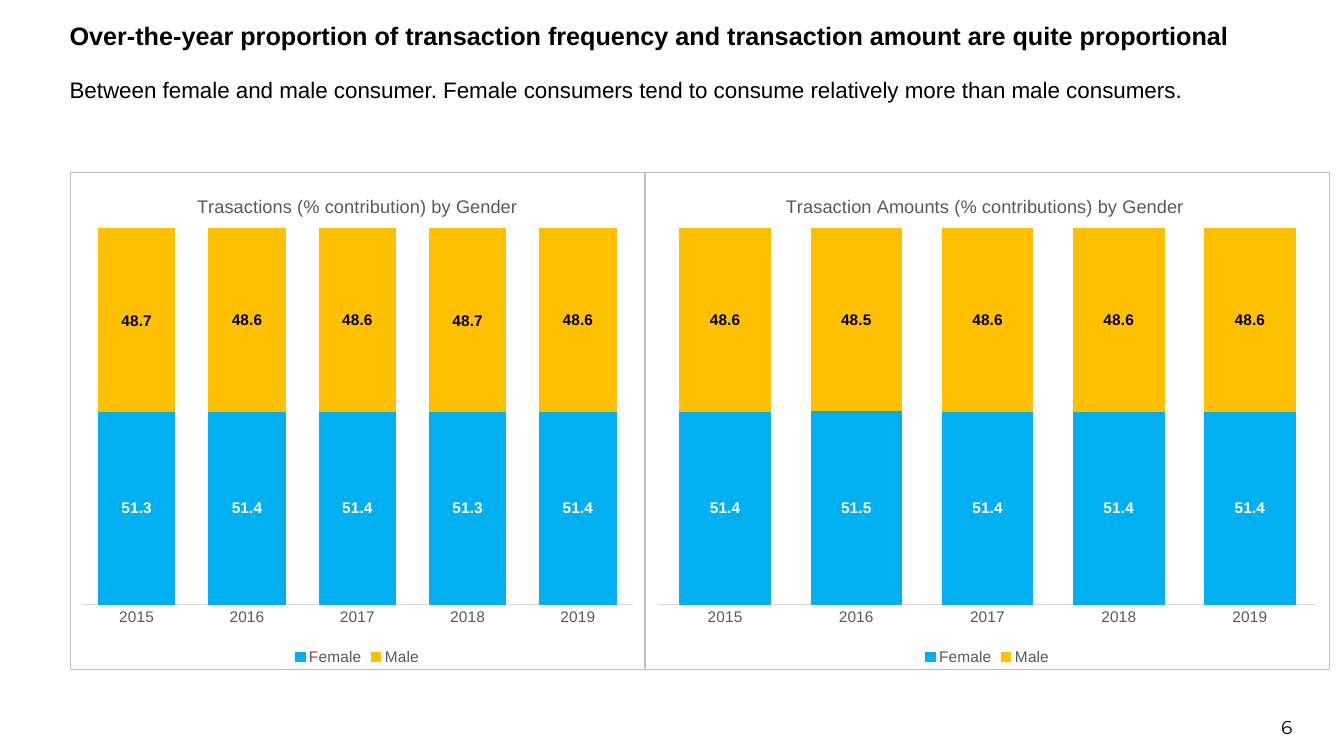
import pptx
import pptx.chart.data
import pptx.dml.color
import pptx.enum.chart
import pptx.enum.text
import pptx.oxml
import pptx.oxml.ns
import pptx.util

Inches, Pt = pptx.util.Inches, pptx.util.Pt
RGBColor = pptx.dml.color.RGBColor
ALIGN = pptx.enum.text.PP_ALIGN
ANCHOR = pptx.enum.text.MSO_ANCHOR

# Content
HEADLINE = ("Over-the-year proportion of transaction frequency and "
            "transaction amount are quite proportional")
SUBHEAD = ("Between female and male consumer. Female consumers tend to "
           "consume relatively more than male consumers.")
PAGE_NUMBER = "6"
YEARS = ["2015", "2016", "2017", "2018", "2019"]
CHARTS = [
    {"title": "Trasactions (% contribution) by Gender",
     "width": 5.71, "title_x": 0.215,
     "Female": [51.3, 51.4, 51.4, 51.3, 51.4],
     "Male": [48.7, 48.6, 48.6, 48.7, 48.6]},
    {"title": "Trasaction Amounts (% contributions) by Gender",
     "width": 6.79, "title_x": 0.2,
     "Female": [51.4, 51.5, 51.4, 51.4, 51.4],
     "Male": [48.6, 48.5, 48.6, 48.6, 48.6]},
]

# Style
BLACK = RGBColor(0x00, 0x00, 0x00)
WHITE = RGBColor(0xFF, 0xFF, 0xFF)
BLUE = RGBColor(0x00, 0xB0, 0xF0)
AMBER = RGBColor(0xFF, 0xC0, 0x00)
GREY_TEXT = RGBColor(0x59, 0x59, 0x59)
AXIS_GREY = RGBColor(0xD9, 0xD9, 0xD9)
BORDER_GREY = RGBColor(0xBF, 0xBF, 0xBF)
GENDERS = {"Female": (BLUE, WHITE), "Male": (AMBER, BLACK)}  # fill, label

LEFT, CHART_TOP, CHART_HEIGHT = 0.69, 1.71, 4.94
NAMESPACES = pptx.oxml.ns.nsdecls("c", "a")


def set_font(font, size, color, bold=False, name="Arial"):
    font.name, font.size, font.bold = name, Pt(size), bold
    font.color.rgb = color


def write_line(box, place, text, size, align, anchor, margin, bold=False, name="Arial"):
    box.left, box.top, box.width, box.height = map(Inches, place)
    frame = box.text_frame
    frame.word_wrap = True
    frame.auto_size = pptx.enum.text.MSO_AUTO_SIZE.NONE
    frame.vertical_anchor = anchor
    frame.margin_left = frame.margin_right = 0
    frame.margin_top = frame.margin_bottom = Inches(margin)
    para = frame.paragraphs[0]
    para.text, para.alignment = text, align
    set_font(para.font, size, BLACK, bold, name)
    return para


def manual_layout(inner):
    return pptx.oxml.parse_xml(
        f"<c:layout {NAMESPACES}><c:manualLayout>{inner}</c:manualLayout></c:layout>")


def place_title(chart, text, left):
    para = chart.chart_title.text_frame.paragraphs[0]
    para.text = text
    set_font(para.font, 13, GREY_TEXT)
    para.runs[0].font._element.set("spc", "20")
    title = chart._chartSpace.chart.find(pptx.oxml.ns.qn("c:title"))
    for old in title.findall(pptx.oxml.ns.qn("c:layout")):
        title.remove(old)
    title.find(pptx.oxml.ns.qn("c:tx")).addnext(manual_layout(
        '<c:xMode val="edge"/><c:yMode val="edge"/>'
        f'<c:x val="{left}"/><c:y val="0.04"/>'))
    chart.chart_title.include_in_layout = False


def place_plot(chart):
    area = chart._chartSpace.chart.plotArea
    for old in area.findall(pptx.oxml.ns.qn("c:layout")):
        area.remove(old)
    area.insert(0, manual_layout(
        '<c:layoutTarget val="inner"/><c:xMode val="edge"/><c:yMode val="edge"/>'
        '<c:x val="0.02"/><c:y val="0.113"/><c:w val="0.96"/><c:h val="0.755"/>'))


def add_border(chart):
    chart._chartSpace.chart.addnext(pptx.oxml.parse_xml(
        f'<c:spPr {NAMESPACES}><a:solidFill><a:srgbClr val="{WHITE}"/></a:solidFill>'
        f'<a:ln w="{Pt(0.75)}"><a:solidFill><a:srgbClr val="{BORDER_GREY}"/>'
        '</a:solidFill></a:ln></c:spPr>'))


def add_gender_chart(page, content, left):
    data = pptx.chart.data.CategoryChartData(number_format="0.0")
    data.categories = YEARS
    for gender in GENDERS:
        data.add_series(gender, content[gender])
    chart = page.shapes.add_chart(
        pptx.enum.chart.XL_CHART_TYPE.COLUMN_STACKED_100, Inches(left), Inches(CHART_TOP),
        Inches(content["width"]), Inches(CHART_HEIGHT), data).chart
    set_font(chart.font, 11, BLACK)
    place_title(chart, content["title"], content["title_x"])
    place_plot(chart)
    add_border(chart)

    # Axes and legend
    chart.value_axis.visible = False
    chart.value_axis.has_major_gridlines = False
    years = chart.category_axis
    years.major_tick_mark = pptx.enum.chart.XL_TICK_MARK.NONE
    years.format.line.color.rgb = AXIS_GREY
    years.format.line.width = Pt(0.75)
    set_font(years.tick_labels.font, 11, GREY_TEXT)
    chart.has_legend = True
    chart.legend.position = pptx.enum.chart.XL_LEGEND_POSITION.BOTTOM
    chart.legend.include_in_layout = False
    set_font(chart.legend.font, 11, GREY_TEXT)

    # Columns and labels
    plot = chart.plots[0]
    plot.gap_width, plot.overlap, plot.vary_by_categories = 45, 100, False
    for series in plot.series:
        fill, label = GENDERS[series.name]
        series.format.fill.solid()
        series.format.fill.fore_color.rgb = fill
        series.format.line.color.rgb = fill
        series.format.line.width = Pt(0.75)
        labels = series.data_labels
        labels.show_value = True
        labels.number_format, labels.number_format_is_linked = "0.0", False
        labels.position = pptx.enum.chart.XL_LABEL_POSITION.CENTER
        set_font(labels.font, 11, label, bold=True)


def main():
    deck = pptx.Presentation()
    deck.slide_width, deck.slide_height = Inches(13.33), Inches(7.5)
    page = deck.slides.add_slide(deck.slide_layouts[5])

    # Headline, subhead and page number
    headline = write_line(page.shapes.title, (LEFT, 0.06, 12.82, 0.55), HEADLINE, 18,
                          ALIGN.JUSTIFY, ANCHOR.BOTTOM, 0.1, bold=True)
    subhead = write_line(page.shapes.add_textbox(0, 0, 0, 0), (LEFT, 0.58, 12.49, 0.55),
                         SUBHEAD, 16, ALIGN.JUSTIFY, ANCHOR.BOTTOM, 0.1)
    headline.line_spacing = subhead.line_spacing = 0.9
    write_line(page.shapes.add_textbox(0, 0, 0, 0), (9.82, 7.01, 3, 0.4), PAGE_NUMBER,
               13.3, ALIGN.RIGHT, ANCHOR.MIDDLE, 0.07, name="Montserrat")

    # Charts side by side
    left = LEFT
    for content in CHARTS:
        add_gender_chart(page, content, left)
        left += content["width"]

    deck.save("out.pptx")


if __name__ == "__main__":
    main()
